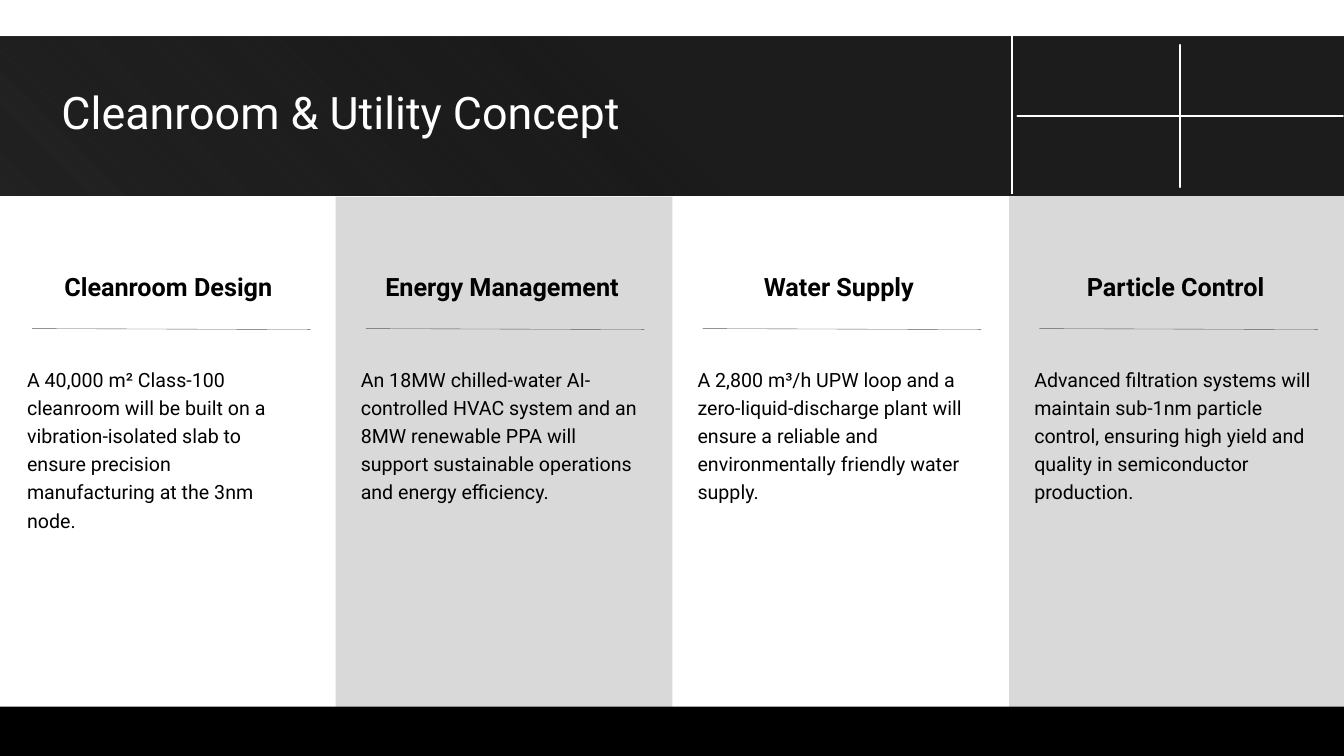
from copy import deepcopy

from lxml.etree import SubElement
from pptx import Presentation
from pptx.dml.color import RGBColor
from pptx.enum.shapes import MSO_CONNECTOR, MSO_SHAPE
from pptx.enum.text import MSO_ANCHOR, MSO_AUTO_SIZE, PP_ALIGN
from pptx.oxml.ns import qn
from pptx.util import Inches, Pt

COLORS = {
    "white": "FFFFFF",
    "black": "000000",
    "charcoal": "1C1C1C",
    "panel": "D9D9D9",
    "rule": "595959",
}
FONT = "Roboto"
COLUMN_WIDTH = 3.34
COLUMNS = [
    (0.02, "Cleanroom Design",
     "A 40,000 m² Class-100 cleanroom will be built on a vibration-isolated slab "
     "to ensure precision manufacturing at the 3nm node."),
    (3.33, "Energy Management",
     "An 18MW chilled-water AI-controlled HVAC system and an 8MW renewable PPA "
     "will support sustainable operations and energy efficiency."),
    (6.67, "Water Supply",
     "A 2,800 m³/h UPW loop and a zero-liquid-discharge plant will ensure a "
     "reliable and environmentally friendly water supply."),
    (10.01, "Particle Control",
     "Advanced filtration systems will maintain sub-1nm particle control, "
     "ensuring high yield and quality in semiconductor production."),
]


def color(name):
    return RGBColor.from_string(COLORS[name])


def add_block(slide, left, top, width, height, fill, kind=MSO_SHAPE.RECTANGLE):
    shape = slide.shapes.add_shape(
        kind, Inches(left), Inches(top), Inches(width), Inches(height))
    shape.shadow.inherit = False
    shape.fill.solid()
    shape.fill.fore_color.rgb = color(fill)
    shape.line.fill.background()
    return shape


def add_band(slide):
    fill = add_block(slide, -0.01, 0.36, 13.35, 1.58, "charcoal").fill
    fill.gradient()
    fill.gradient_angle = 225
    stop_list = fill._fill._gradFill.find(qn("a:gsLst"))
    stop_list.insert(1, deepcopy(stop_list[0]))
    stops = zip(fill.gradient_stops, (0, 0.51, 1), ("charcoal", "charcoal", "black"))
    for stop, position, name in stops:
        stop.position = position
        stop.color.rgb = color(name)
    SubElement(stop_list[-1][0], qn("a:alpha"), val="86000")


def add_line(slide, start, end, name, width):
    line = slide.shapes.add_connector(
        MSO_CONNECTOR.STRAIGHT, *(Inches(value) for value in start + end))
    line.line.color.rgb = color(name)
    line.line.width = Pt(width)
    SubElement(line._element.spPr, qn("a:effectLst"))


def write_text(shape, text, size, name, bold=False,
               align=PP_ALIGN.LEFT, anchor=MSO_ANCHOR.TOP):
    frame = shape.text_frame
    frame.word_wrap = True
    frame.auto_size = MSO_AUTO_SIZE.NONE
    frame.vertical_anchor = anchor
    frame.text = text
    paragraph = frame.paragraphs[0]
    paragraph.alignment = align
    paragraph.line_spacing = 1.2
    paragraph.font.name = FONT
    paragraph.font.size = Pt(size)
    paragraph.font.bold = bold
    paragraph.font.color.rgb = color(name)


def add_text(slide, left, top, width, height, text, size, **style):
    box = slide.shapes.add_textbox(
        Inches(left), Inches(top), Inches(width), Inches(height))
    write_text(box, text, size, "black", **style)


def add_title(slide, text):
    title = slide.shapes.title
    title.left, title.top = Inches(0.51), Inches(0.68)
    title.width, title.height = Inches(6.44), Inches(0.56)
    write_text(title, text, 32, "white")
    slide.shapes._spTree.append(title._element)


def add_window_lines(slide):
    cross = add_block(slide, 9.51, 0.19, 4.39, 1.92, "white", MSO_SHAPE.MATH_PLUS)
    cross.adjustments[0] = 0
    cross.line.color.rgb = color("white")
    cross.line.width = Pt(1.5)
    add_line(slide, (10.04, 1.92), (10.04, 0.36), "white", 1.5)


def add_column(slide, left, heading, body):
    add_line(slide, (left + 0.3, 3.26), (left + 3.06, 3.27), "rule", 0.25)
    add_text(slide, left - 0.02, 2.5, COLUMN_WIDTH, 0.62, heading, 18, bold=True,
             align=PP_ALIGN.CENTER, anchor=MSO_ANCHOR.MIDDLE)
    add_text(slide, left + 0.15, 3.55, 2.94, 1.54, body, 14)


def main():
    presentation = Presentation()
    presentation.slide_width = Inches(13.33)
    presentation.slide_height = Inches(7.5)
    slide = presentation.slides.add_slide(presentation.slide_layouts[5])

    add_block(slide, 10.01, 1.94, COLUMN_WIDTH, 5.36, "panel")
    add_block(slide, -0.01, 2.34, COLUMN_WIDTH, 5.16, "white")
    add_band(slide)
    add_title(slide, "Cleanroom & Utility Concept")
    add_window_lines(slide)
    add_block(slide, 3.33, 1.95, COLUMN_WIDTH, 5.35, "panel")
    add_block(slide, -0.01, 7.01, 13.35, 0.49, "black")
    for left, heading, body in COLUMNS:
        add_column(slide, left, heading, body)

    presentation.save("out.pptx")


if __name__ == "__main__":
    main()
